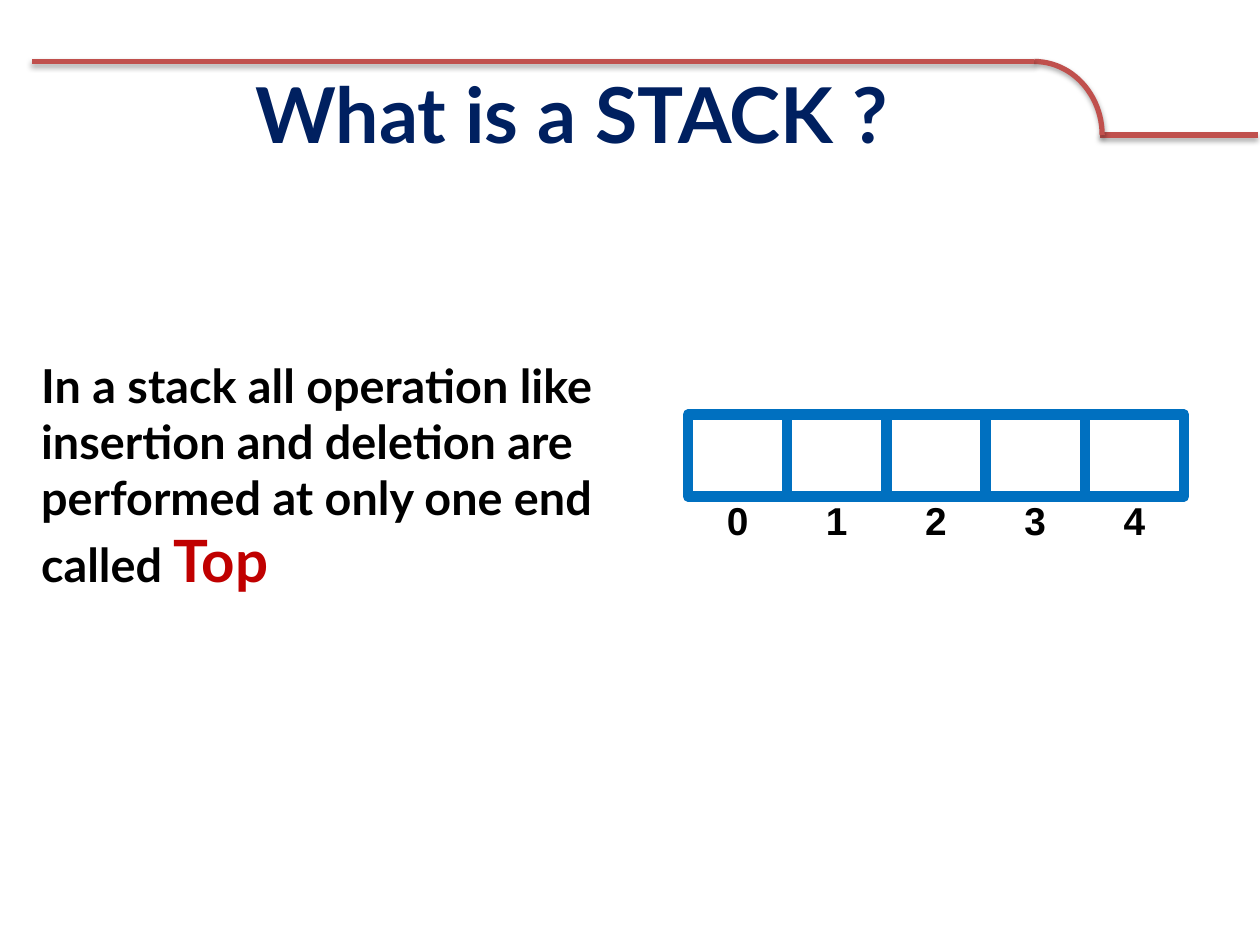
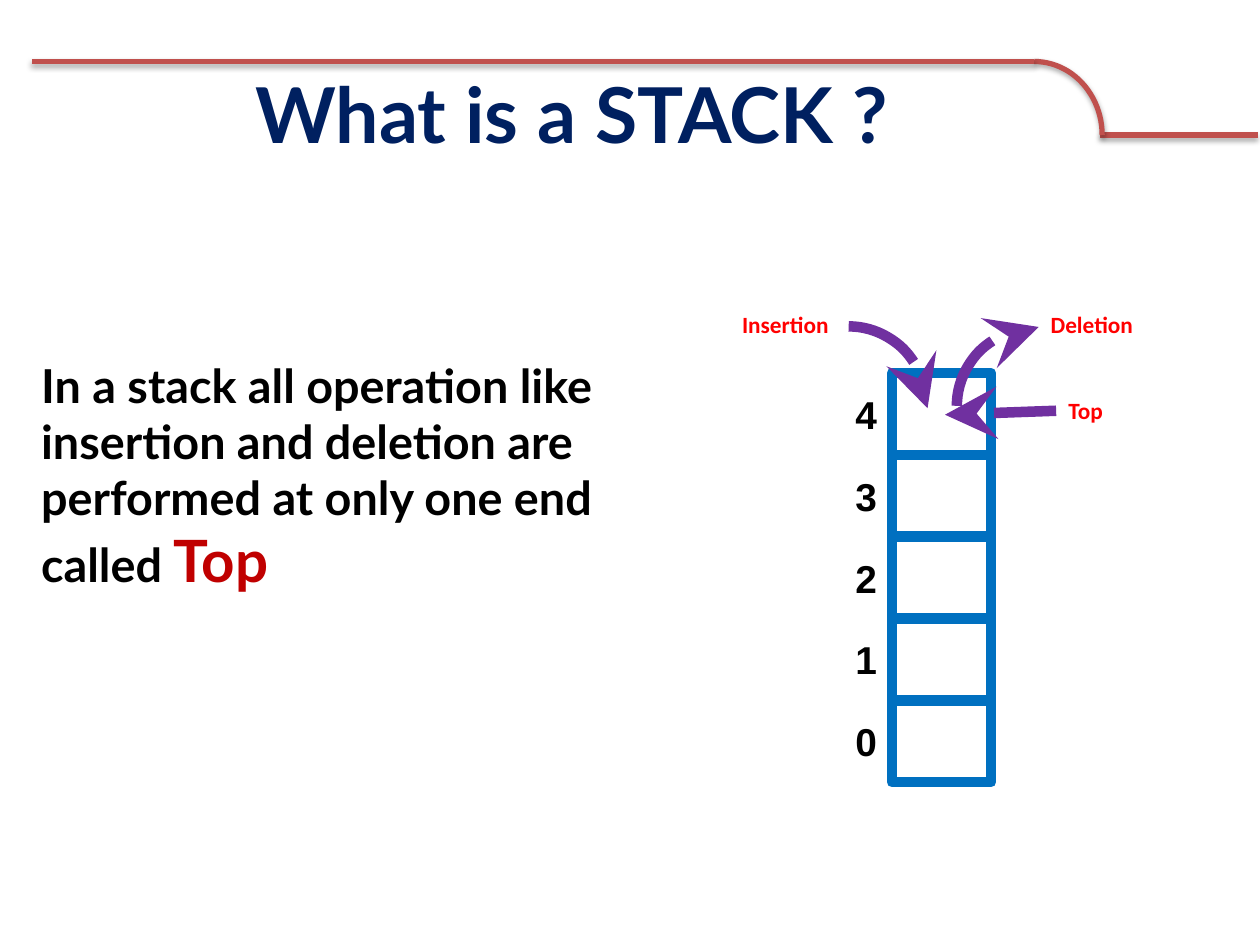
from pptx import Presentation
from pptx.dml.color import RGBColor
from pptx.enum.shapes import MSO_CONNECTOR, MSO_SHAPE
from pptx.enum.text import MSO_ANCHOR, MSO_AUTO_SIZE, PP_ALIGN
from pptx.oxml import parse_xml
from pptx.oxml.ns import nsdecls
from pptx.util import Cm, Pt

LINE = MSO_CONNECTOR.STRAIGHT
ARC, RECT = MSO_SHAPE.ARC, MSO_SHAPE.RECTANGLE
MID, CENTER, LEFT = MSO_ANCHOR.MIDDLE, PP_ALIGN.CENTER, PP_ALIGN.LEFT
GROW = MSO_AUTO_SIZE.SHAPE_TO_FIT_TEXT

HUES = {"frame": "C0504D", "title": "002060", "cell": "0070C0", "text": "000000",
        "top": "C00000", "arrow": "7030A0", "label": "FF0000"}
FONTS = {
    "title": {"name": "Lato", "size": Pt(44), "bold": True},
    "text": {"name": "Lato", "size": Pt(26.7), "bold": True},
    "top": {"name": "Lato", "size": Pt(33.3), "bold": True},
    "index": {"name": "Arial", "size": Pt(22.2), "bold": True},
    "label": {"name": "Calibri", "size": Pt(13.3), "bold": True},
}
SHADOW = ('<a:outerShdw blurRad="39000" dist="23000" dir="5400000" rotWithShape="0">'
          '<a:srgbClr val="000000"><a:alpha val="35000"/></a:srgbClr></a:outerShdw>')
TITLE = "What is a STACK ?"
BODY = [("In a stack all operation like insertion and deletion are "
         "performed at only one end called ", "text"), ("Top", "top")]
COUNT, WIDE, HIGH = 5, 2.0, 1.65


def write(shape, runs, align):
    para = shape.text_frame.paragraphs[0]
    para.alignment = align
    for text, style in runs:
        run = para.add_run()
        run.text = text
        for key, value in FONTS[style].items():
            setattr(run.font, key, value)
        run.font.color.rgb = RGBColor.from_string(HUES.get(style, HUES["text"]))


def stroke(shape, hue, width, effect="", arrow=False):
    shape.line.color.rgb = RGBColor.from_string(HUES[hue])
    shape.line.width = Pt(width)
    if hasattr(shape, "fill"):
        shape.fill.background()
    if arrow:
        shape.line._get_or_add_ln().append(parse_xml(
            f'<a:tailEnd {nsdecls("a")} type="stealth" w="lg" len="lg"/>'))
    shape.element.spPr.append(parse_xml(
        f'<a:effectLst {nsdecls("a")}>{effect}</a:effectLst>'))


deck = Presentation()
deck.slide_width, deck.slide_height = Cm(25.4), Cm(19.05)
base = deck.slide_layouts[5]

# Title place, shared through the layout
head = base.placeholders[0]
head.left, head.top, head.width, head.height = Cm(1.27), Cm(1.35), Cm(20.52), Cm(1.83)

# Both slides: title and definition
slides = [deck.slides.add_slide(base) for _ in range(2)]
for slide in slides:
    title = slide.shapes.title
    title.text_frame.vertical_anchor = MID
    write(title, [(TITLE, "title")], CENTER)
    box = slide.shapes.add_textbox(Cm(0.58), Cm(7.06), Cm(12.7), Cm(5.11))
    box.text_frame.word_wrap = True
    box.text_frame.auto_size = GROW
    write(box, BODY, LEFT)

row, tower = [slide.shapes for slide in slides]

# Red frame line, moved onto the layout
frame = [
    row.add_connector(LINE, Cm(22.17), Cm(2.72), Cm(25.35), Cm(2.72)),
    row.add_shape(ARC, Cm(19.48), Cm(1.24), Cm(2.74), Cm(2.97)),
    row.add_connector(LINE, Cm(20.85), Cm(1.24), Cm(0.64), Cm(1.24)),
]
for num, part in enumerate(frame, 20):
    stroke(part, "frame", 3, SHADOW)
    part.element.xpath(".//p:cNvPr")[0].set("id", str(num))
    base.shapes.element.append(part.element)

# Cells with their indexes: a row, then a tower counted from the bottom
# (shapes, left, top, step across, step down, label shift across and down)
plans = [
    (row, 13.87, 8.36, WIDE, 0, 0, 1.3),
    (tower, 17.98, 14.12, 0, -HIGH, -1.52, 0),
]
for shapes, left, top, across, down, right, below in plans:
    for num in range(COUNT):
        x, y = left + num * across, top + num * down
        cell = shapes.add_shape(RECT, Cm(x), Cm(y), Cm(WIDE), Cm(HIGH))
        stroke(cell, "cell", 6)
        tag = shapes.add_textbox(Cm(x + right), Cm(y + below), Cm(WIDE), Cm(HIGH))
        tag.text_frame.word_wrap = True
        tag.text_frame.vertical_anchor = MID
        write(tag, [(str(num), "index")], CENTER)

# Arrows into and out of the tower
for x, y, turn in [(15.52, 6.58, 0), (19.35, 6.53, 270)]:
    curve = tower.add_shape(ARC, Cm(x), Cm(y), Cm(3.18), Cm(3.3))
    curve.rotation = turn
    stroke(curve, "arrow", 6, arrow=True)
mark = tower.add_connector(LINE, Cm(21.29), Cm(8.28), Cm(19.05), Cm(8.36))
stroke(mark, "arrow", 6, arrow=True)

# Arrow labels
for text, x, y, width in [("Insertion", 14.71, 6.12, 2.29),
                          ("Deletion", 20.93, 6.12, 2.18),
                          ("Top", 21.29, 7.87, 1.22)]:
    note = tower.add_textbox(Cm(x), Cm(y), Cm(width), Cm(0.81))
    note.text_frame.word_wrap = False
    note.text_frame.auto_size = GROW
    write(note, [(text, "label")], LEFT)

deck.save("out.pptx")
